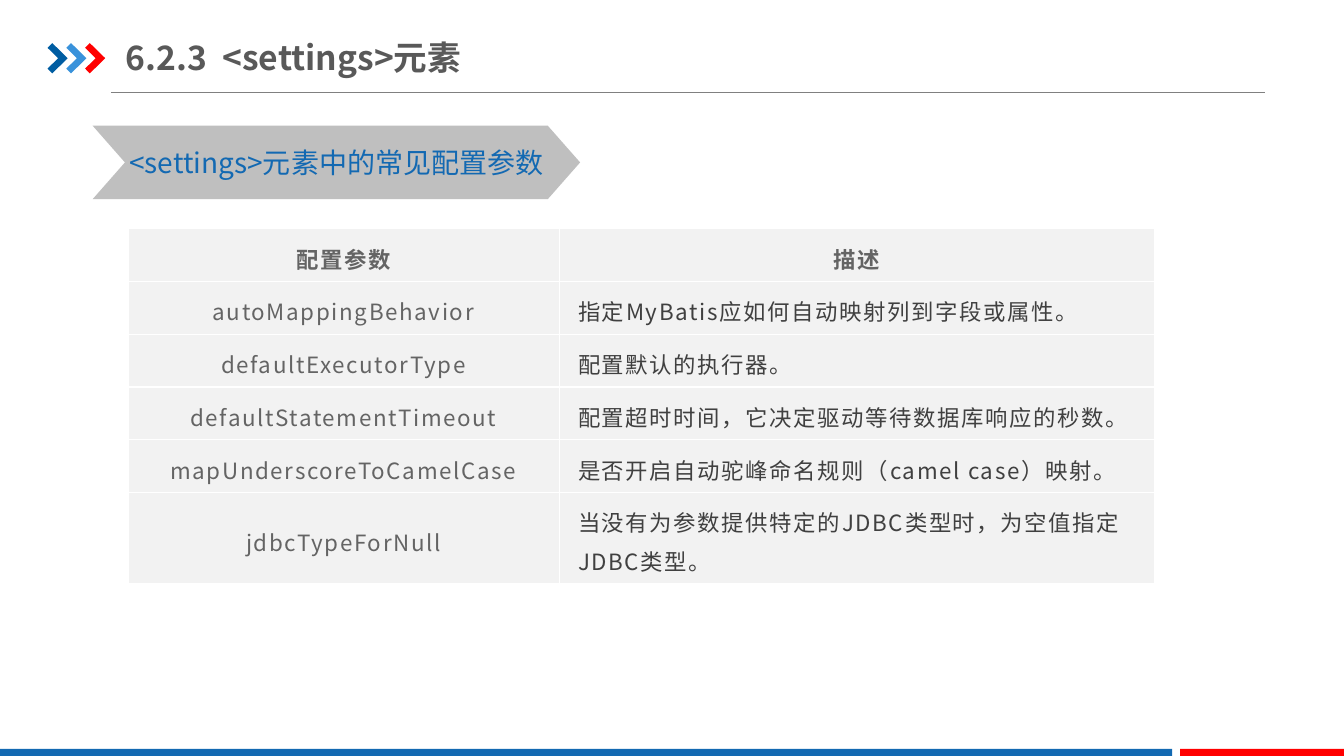
"""Builds the slide on common configuration parameters of the settings element."""
from lxml import etree
from pptx import Presentation
from pptx.dml.color import RGBColor
from pptx.enum import shapes, text
from pptx.oxml import ns
from pptx.util import Pt

TITLE = "6.2.3  <settings>元素"
SUBTITLE = "<settings>元素中的常见配置参数"
ROWS = [
    ("配置参数", "描述"),
    ("autoMappingBehavior", "指定MyBatis应如何自动映射列到字段或属性。"),
    ("defaultExecutorType", "配置默认的执行器。"),
    ("defaultStatementTimeout", "配置超时时间，它决定驱动等待数据库响应的秒数。"),
    ("mapUnderscoreToCamelCase", "是否开启自动驼峰命名规则（camel case）映射。"),
    ("jdbcTypeForNull", "当没有为参数提供特定的JDBC类型时，为空值指定JDBC类型。"),
]
FONT = "Noto Sans CJK SC"
COLORS = {
    "navy": "005DA2", "sky": "3992DB", "red": "FF0000", "blue": "1369B2",
    "rule": "808080", "title": "595959", "banner": "BFBFBF", "cell": "F2F2F2",
    "param": "646464", "desc": "404040", "border": "FFFFFF",
}
COL_WIDTHS = [308, 425.5]
ROW_HEIGHTS = [34, 37, 37, 37, 37, 62]
ARROWS = ["navy", "sky", "red"]
ARROW_OUTLINE = [(0, 3.4), (3.4, 0), (14.4, 10.8), (3.4, 21.6), (0, 18.2), (7.6, 10.8)]
BARS = [(0, 837.2, "blue"), (843, 117, "red")]


def rgb(name):
    return RGBColor.from_string(COLORS[name])


def paint(sp, color):
    sp.shadow.inherit = False
    sp.fill.solid()
    sp.fill.fore_color.rgb = rgb(color)
    sp.line.fill.background()


def write(tf, words, size, color, bold=False, align=text.PP_ALIGN.LEFT, spacing=None):
    p = tf.paragraphs[0]
    p.alignment = align
    r = p.add_run()
    r.text = words
    r.font.name, r.font.size, r.font.bold = FONT, Pt(size), bold
    r.font.color.rgb = rgb(color)
    rpr = r.font._element
    etree.SubElement(rpr, ns.qn("a:ea"), typeface=FONT)
    if spacing:
        p.line_spacing = 1.2
        rpr.set("spc", str(spacing))


def set_margins(box, side, vertical):
    box.margin_left = box.margin_right = Pt(side)
    box.margin_top = box.margin_bottom = Pt(vertical)


def add_borders(cell):
    for i, side in enumerate(["lnL", "lnR", "lnT", "lnB"]):
        ln = etree.Element(ns.qn(f"a:{side}"), w=str(Pt(1)))
        fill = etree.SubElement(ln, ns.qn("a:solidFill"))
        etree.SubElement(fill, ns.qn("a:srgbClr"), val=COLORS["border"])
        cell._tc.get_or_add_tcPr().insert(i, ln)


def add_header(s):
    rule = s.shapes.add_connector(shapes.MSO_CONNECTOR.STRAIGHT, Pt(79.2), Pt(65.8), Pt(903.6), Pt(65.8))
    rule.line.color.rgb = rgb("rule")
    rule.line.width = Pt(0.5)
    etree.SubElement(rule._element.spPr, ns.qn("a:effectLst"))
    for i, color in enumerate(ARROWS):
        points = [(Pt(34 + 13.4 * i + x), Pt(30.8 + y)) for x, y in ARROW_OUTLINE]
        fb = s.shapes.build_freeform(*points[0])
        fb.add_line_segments(points[1:], close=True)
        paint(fb.convert_to_shape(), color)
    title = s.shapes.title
    title.left, title.top, title.width, title.height = Pt(90), Pt(21), Pt(400), Pt(40)
    tf = title.text_frame
    tf.auto_size = text.MSO_AUTO_SIZE.NONE
    tf.vertical_anchor = text.MSO_ANCHOR.MIDDLE
    set_margins(tf, 0, 5)
    write(tf, TITLE, 24, "title", bold=True)


def add_banner(s):
    sp = s.shapes.add_shape(shapes.MSO_SHAPE.CHEVRON, Pt(66.2), Pt(89.8), Pt(348.2), Pt(52.5))
    sp.adjustments[0] = 0.44
    paint(sp, "banner")
    tf = sp.text_frame
    tf.word_wrap = False
    tf.vertical_anchor = text.MSO_ANCHOR.MIDDLE
    set_margins(tf, 0, 0)
    write(tf, SUBTITLE, 20, "blue", align=text.PP_ALIGN.CENTER)


def add_settings_table(s):
    table = s.shapes.add_table(len(ROWS), len(COL_WIDTHS), Pt(91.4), Pt(163.5),
                               Pt(sum(COL_WIDTHS)), Pt(sum(ROW_HEIGHTS))).table
    for col, width in zip(table.columns, COL_WIDTHS):
        col.width = Pt(width)
    for i, (height, words) in enumerate(zip(ROW_HEIGHTS, ROWS)):
        table.rows[i].height = Pt(height)
        for j, entry in enumerate(words):
            cell = table.cell(i, j)
            described = i > 0 and j == 1
            cell.fill.solid()
            cell.fill.fore_color.rgb = rgb("cell")
            cell.vertical_anchor = text.MSO_ANCHOR.MIDDLE
            set_margins(cell, 13.5, 5)
            write(cell.text_frame, entry, 16, "desc" if described else "param", bold=i == 0,
                  align=text.PP_ALIGN.LEFT if described else text.PP_ALIGN.CENTER, spacing=120)
            add_borders(cell)


def main():
    prs = Presentation()
    prs.slide_width, prs.slide_height = Pt(960), Pt(540)
    s = prs.slides.add_slide(prs.slide_layouts.get_by_name("Title Only"))
    add_header(s)
    for left, width, color in BARS:
        paint(s.shapes.add_shape(shapes.MSO_SHAPE.RECTANGLE, Pt(left), Pt(535), Pt(width), Pt(5)), color)
    add_banner(s)
    add_settings_table(s)
    prs.save("out.pptx")


if __name__ == "__main__":
    main()
